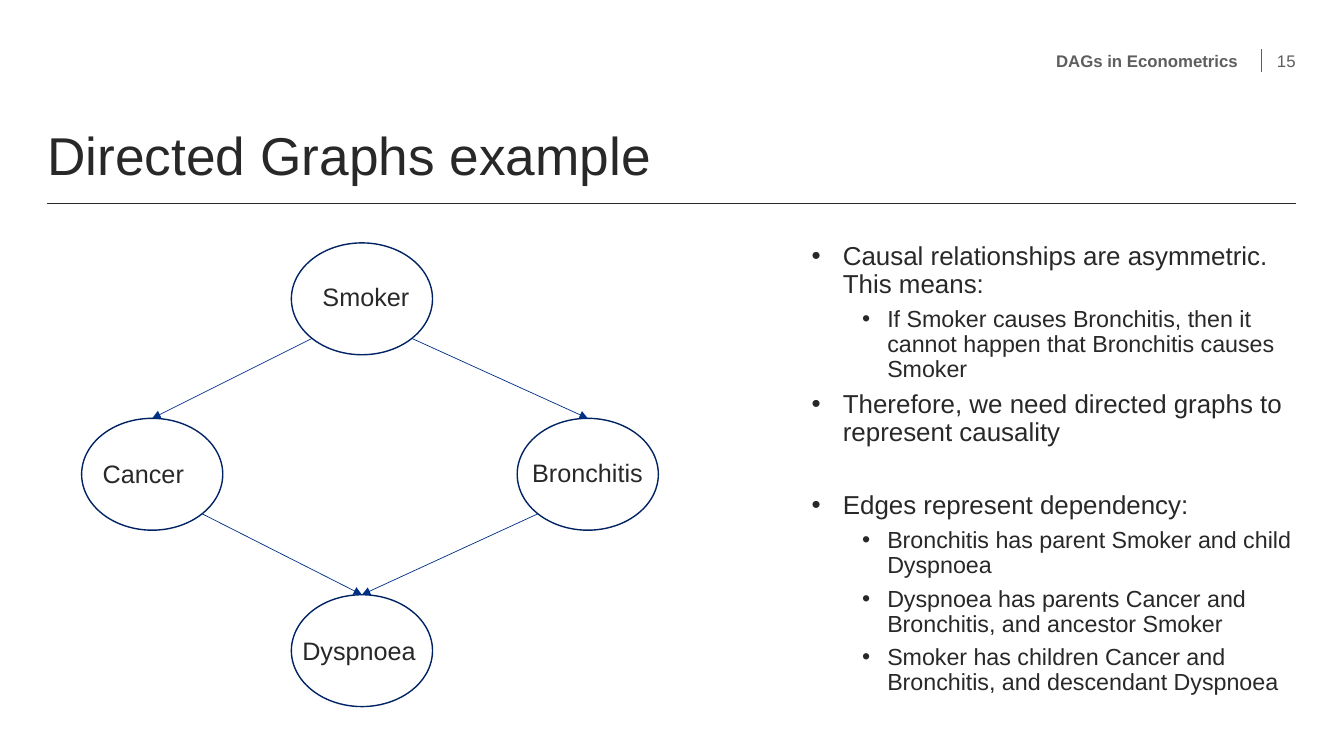
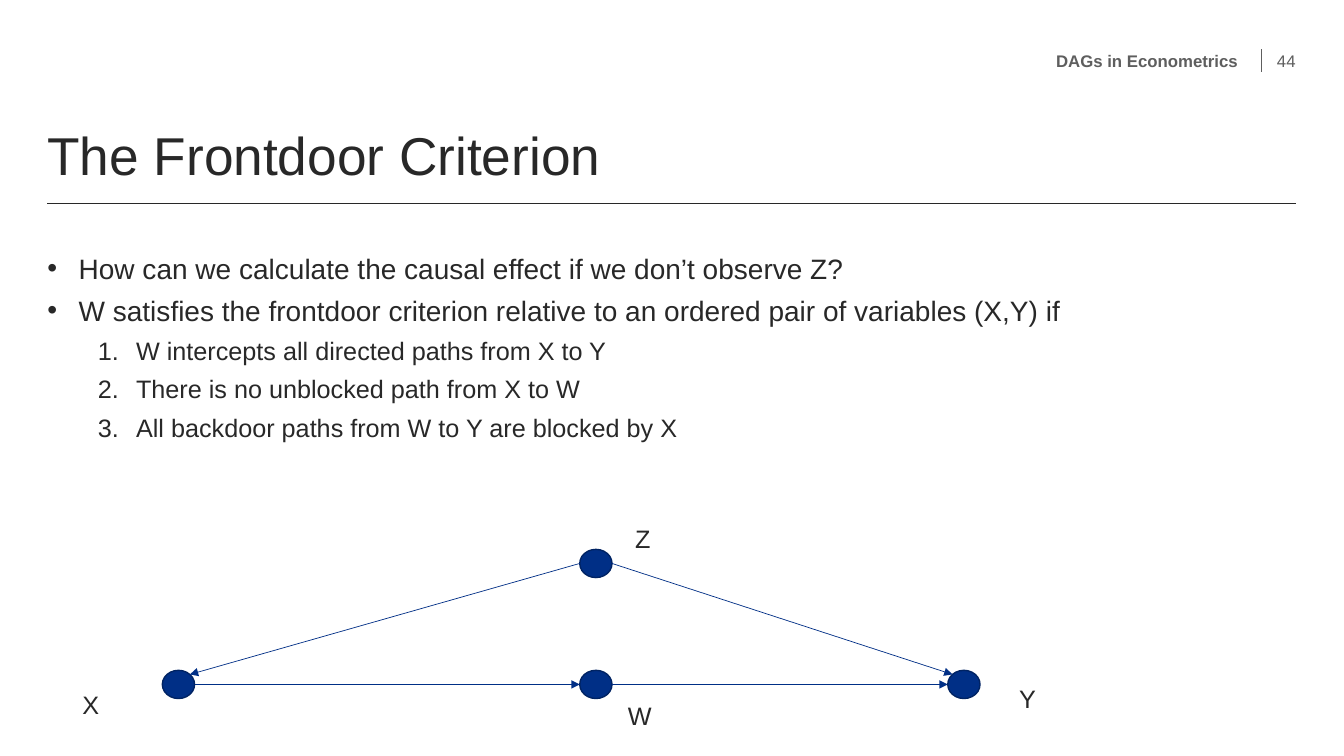
import math

import lxml.etree
import pptx
import pptx.dml.color
import pptx.enum.shapes
import pptx.enum.text
import pptx.oxml.ns
import pptx.util

PX = 9144
FONT = "Arial"
INK, GREY, BLUE, NAVY = "282828", "5E5E5E", "002F86", "002363"
LEFT, WIDTH = 47, 1238
TOP_SITE, LEFT_SITE, RIGHT_SITE = 270, 180, 0
BULLET = ("a:buChar", {"char": "•"})
NUMBER = ("a:buAutoNum", {"type": "arabicPeriod"})
ALIGN = pptx.enum.text.PP_ALIGN
ANCHOR = pptx.enum.text.MSO_ANCHOR
NO_INSETS = {f"margin_{side}": 0 for side in ("left", "top", "right", "bottom")}


def px(value):
    return round(value * PX)


def color(value):
    return pptx.dml.color.RGBColor.from_string(value)


def apply(target, values):
    for name, value in values.items():
        setattr(target, name, value)


def add_xml(parent, tag, **attrs):
    return lxml.etree.SubElement(parent, pptx.oxml.ns.qn(tag), attrs)


def place(sp, box):
    apply(sp, dict(zip(("left", "top", "width", "height"), map(px, box))))


def write(p, text, size, fill=INK, bold=False):
    r = p.add_run()
    r.text = text
    apply(r.font, {"name": FONT, "size": pptx.util.Pt(size), "bold": bold})
    r.font.color.rgb = color(fill)


def add_text(slide, box, text, size=18, fill=INK, bold=False, align=ALIGN.LEFT, frame=None):
    sp = slide.shapes.add_textbox(*map(px, box))
    tf = sp.text_frame
    apply(tf, {"word_wrap": True, **(frame or {})})
    p = tf.paragraphs[0]
    p.alignment = align
    write(p, text, size, fill, bold)


def add_line(slide, start, end, fill, width=1, arrow=False):
    c = slide.shapes.add_connector(
        pptx.enum.shapes.MSO_CONNECTOR.STRAIGHT, *map(px, (*start, *end)))
    c.line.color.rgb = color(fill)
    c.line.width = pptx.util.Pt(width)
    sp_pr = c._element.spPr
    if arrow:
        add_xml(sp_pr.find(pptx.oxml.ns.qn("a:ln")), "a:tailEnd", type="triangle")
    add_xml(sp_pr, "a:effectLst")
    return c


def add_node(slide, box, fill=None):
    sp = slide.shapes.add_shape(pptx.enum.shapes.MSO_SHAPE.OVAL, *map(px, box))
    sp.shadow.inherit = False
    if fill:
        sp.fill.solid()
        sp.fill.fore_color.rgb = color(fill)
    else:
        sp.fill.background()
    sp.line.color.rgb = color(NAVY)
    sp.line.width = pptx.util.Pt(1)
    return sp


def rim_point(sp, degrees):
    angle = math.radians(degrees)
    rx, ry = sp.width / 2, sp.height / 2
    return ((sp.left + rx + rx * math.cos(angle)) / PX,
            (sp.top + ry + ry * math.sin(angle)) / PX)


def add_edge(slide, source, source_site, target, target_site):
    c = add_line(slide, rim_point(source, source_site), rim_point(target, target_site),
                 BLUE, 0.5, arrow=True)
    if target_site == TOP_SITE:
        c.end_connect(target, 0)


def fill_body(slide, box, items, styles, line_spacing):
    sp = slide.placeholders[1]
    place(sp, box)
    tf = sp.text_frame
    apply(tf, {**NO_INSETS, "word_wrap": True, "vertical_anchor": ANCHOR.TOP,
               "auto_size": pptx.enum.text.MSO_AUTO_SIZE.NONE})
    for i, (level, text, *gap) in enumerate(items):
        size, margin, hang, (tag, attrs) = styles[level]
        p = tf.paragraphs[0] if i == 0 else tf.add_paragraph()
        before = 0 if i == 0 else gap[0] if gap else 6
        apply(p, {"level": level, "line_spacing": line_spacing,
                  "space_before": pptx.util.Pt(before), "space_after": pptx.util.Pt(0)})
        p_pr = p._p.get_or_add_pPr()
        p_pr.set("marL", str(px(margin)))
        p_pr.set("indent", str(px(-hang)))
        add_xml(p_pr, tag, **attrs)
        write(p, text, size)


def add_slide(prs, title, number):
    slide = prs.slides.add_slide(prs.slide_layouts[1])
    add_line(slide, (LEFT, 202), (LEFT + WIDTH, 202), INK)
    add_line(slide, (1251, 49), (1251, 71), GREY)
    place(slide.shapes.title, (LEFT, 125, WIDTH, 61))
    tf = slide.shapes.title.text_frame
    apply(tf, {**NO_INSETS, "word_wrap": True, "vertical_anchor": ANCHOR.BOTTOM,
               "auto_size": pptx.enum.text.MSO_AUTO_SIZE.NONE})
    p = tf.paragraphs[0]
    apply(p, {"alignment": ALIGN.LEFT, "line_spacing": 0.9})
    write(p, title, 38)
    frame = {**NO_INSETS, "vertical_anchor": ANCHOR.MIDDLE}
    for box, text, bold in (((442, 49, 786, 23), "DAGs in Econometrics", True),
                            ((1256, 49, 29, 23), number, False)):
        add_text(slide, box, text, 12, GREY, bold, ALIGN.RIGHT, frame)
    return slide


def add_directed_graphs(prs):
    slide = add_slide(prs, "Directed Graphs example", "15")
    fill_body(slide, (805, 241, 480, 460), [
        (0, "Causal relationships are asymmetric. This means:"),
        (1, "If Smoker causes Bronchitis, then it cannot happen that Bronchitis causes Smoker"),
        (0, "Therefore, we need directed graphs to represent causality"),
        (0, "Edges represent dependency:", 32),
        (1, "Bronchitis has parent Smoker and child Dyspnoea"),
        (1, "Dyspnoea has parents Cancer and Bronchitis, and ancestor Smoker"),
        (1, "Smoker has children Cancer and Bronchitis, and descendant Dyspnoea"),
    ], [(18.5, 31, 31, BULLET), (16.6, 75, 25, BULLET)], 0.9)
    smoker, cancer, bronchitis, dyspnoea = [
        add_node(slide, (x, y, 140, 111))
        for x, y in ((289, 241), (81, 415), (513, 415), (289, 590))]
    for source, site, target in ((smoker, 135, cancer), (smoker, 45, bronchitis),
                                 (bronchitis, 135, dyspnoea), (cancer, 45, dyspnoea)):
        add_edge(slide, source, site, target, TOP_SITE)
    for text, x, y, width in (("Smoker", 310, 274, 119), ("Dyspnoea", 290, 625, 140),
                              ("Cancer", 92, 450, 119), ("Bronchitis", 518, 449, 135)):
        add_text(slide, (x, y, width, 40), text)


def add_frontdoor(prs):
    slide = add_slide(prs, "The Frontdoor Criterion", "44")
    fill_body(slide, (LEFT, 249, WIDTH, 272), [
        (0, "How can we calculate the causal effect if we don’t observe Z?"),
        (0, "W satisfies the frontdoor criterion relative to an ordered pair of variables (X,Y) if"),
        (1, "W intercepts all directed paths from X to Y"),
        (1, "There is no unblocked path from X to W"),
        (1, "All backdoor paths from W to Y are blocked by X"),
    ], [(20, 31, 31, BULLET), (18, 88, 38, NUMBER)], 1.0)
    z, x, w, y = [add_node(slide, (left, top, 32, 28), BLUE)
                  for left, top in ((575, 545), (161, 665), (575, 665), (940, 665))]
    for edge in ((z, LEFT_SITE, x, 315), (x, RIGHT_SITE, w, LEFT_SITE),
                 (w, RIGHT_SITE, y, LEFT_SITE), (z, RIGHT_SITE, y, 225)):
        add_edge(slide, *edge)
    for text, left, top in (("X", 72, 679), ("Z", 620, 514), ("Y", 1001, 673), ("W", 613, 690)):
        add_text(slide, (left, top, 36, 40), text)


def main():
    prs = pptx.Presentation()
    apply(prs, {"slide_width": px(1333), "slide_height": px(750)})
    add_directed_graphs(prs)
    add_frontdoor(prs)
    prs.save("out.pptx")


if __name__ == "__main__":
    main()
